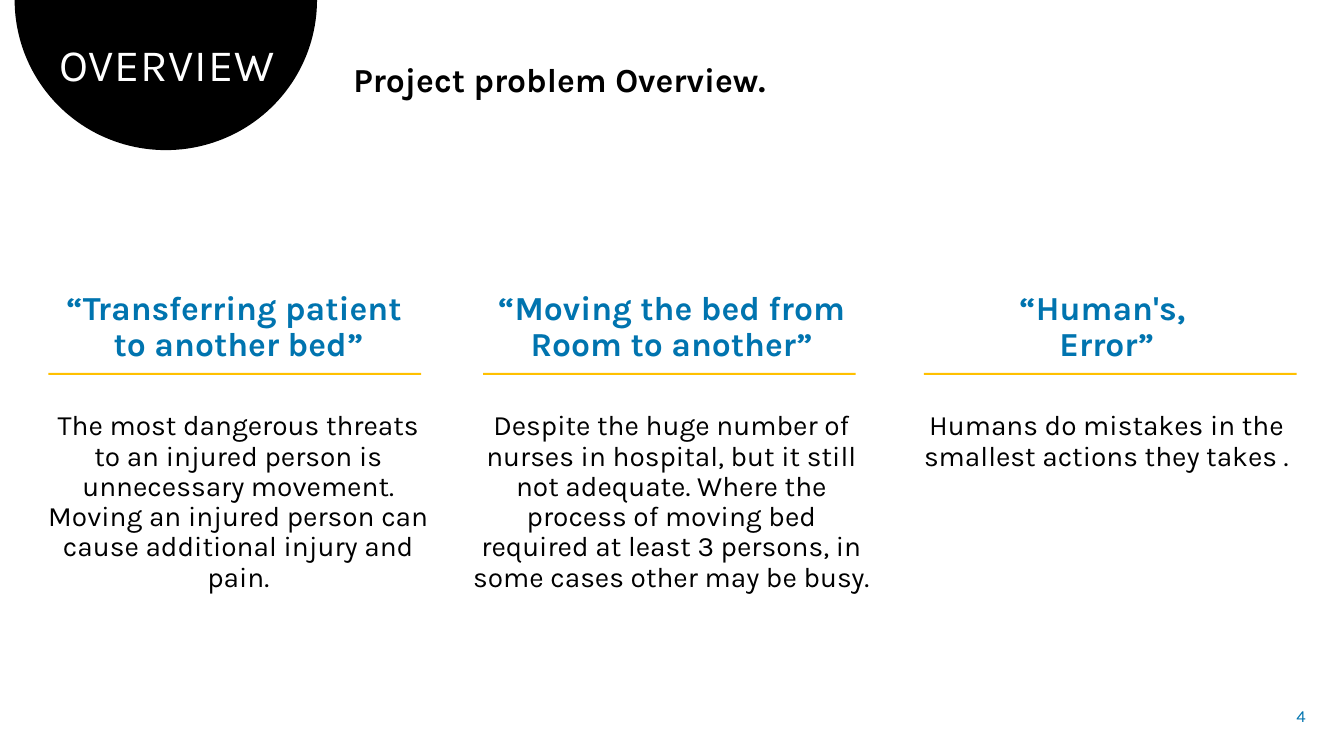
import math
from dataclasses import dataclass

from pptx import Presentation
from pptx import util as u
from pptx.dml.color import RGBColor
from pptx.enum import shapes, text

PX = 9525
FONT = "Karla"
BLACK, WHITE, BLUE, GOLD = "000000", "FFFFFF", "0074AF", "FFC000"
COLUMN_TOP, RULE_TOP, RULE_WIDTH, RULE_HEIGHT = 273, 355, 355, 2


@dataclass(frozen=True)
class Box:
    left: int
    top: int
    width: int
    height: int

    def emu(self) -> list[u.Emu]:
        return [u.Emu(n * PX) for n in (self.left, self.top, self.width, self.height)]


@dataclass(frozen=True)
class Line:
    words: str
    size: int
    color: str
    bold: bool = False
    align: text.PP_ALIGN = text.PP_ALIGN.CENTER
    before: int = 0
    after: int = 0
    spacing: float = 0.9


@dataclass(frozen=True)
class Problem:
    left: int
    width: int
    height: int
    rule_left: int
    heading: str
    body: str


PROBLEMS = [
    Problem(32, 390, 271, 46, "“Transferring patient \vto another bed”",
            "The most dangerous threats to an injured person is unnecessary movement. "
            "Moving an injured person can cause additional injury and pain."),
    Problem(438, 403, 300, 460, "“Moving the bed from Room to another”",
            "Despite the huge number of nurses in hospital, but it still not adequate. "
            "Where the process of moving bed required at least 3 persons, "
            "in some cases other may be busy."),
    Problem(856, 396, 183, 880, "“Human's, \vError”",
            "Humans do mistakes in the smallest actions they takes ."),
]


def rgb(color: str) -> RGBColor:
    return RGBColor.from_string(color)


def paint(shape, color: str) -> None:
    shape.shadow.inherit = False
    shape.fill.solid()
    shape.fill.fore_color.rgb = rgb(color)
    shape.line.fill.background()


def add_text(page, place: Box, lines: list[Line], grow: bool = True):
    box = page.shapes.add_textbox(*place.emu())
    frame = box.text_frame
    frame.word_wrap = grow
    if grow:
        frame.auto_size = text.MSO_AUTO_SIZE.SHAPE_TO_FIT_TEXT
    else:
        frame.vertical_anchor = text.MSO_ANCHOR.MIDDLE
    for index, line in enumerate(lines):
        para = frame.add_paragraph() if index else frame.paragraphs[0]
        para.text = line.words
        para.alignment = line.align
        para.line_spacing = line.spacing
        para.space_before = u.Pt(line.before)
        para.space_after = u.Pt(line.after)
        para.font.name = FONT
        para.font.size = u.Pt(line.size)
        para.font.bold = line.bold
        para.font.color.rgb = rgb(line.color)
    return box


def add_half_disc(page, center: int, radius: int, depth: int, steps: int = 90) -> None:
    """Draw a disc that hangs from the top edge of the page."""
    angles = [math.pi * step / steps for step in range(steps + 1)]
    points = [(round((center + radius * math.cos(a)) * PX), round(depth * math.sin(a) * PX))
              for a in angles]
    builder = page.shapes.build_freeform(*points[0])
    builder.add_line_segments(points[1:], close=True)
    paint(builder.convert_to_shape(), BLACK)


def add_problem(page, problem: Problem) -> None:
    add_text(page, Box(problem.left, COLUMN_TOP, problem.width, problem.height), [
        Line(problem.heading, 24, BLUE, bold=True, after=24),
        Line(problem.body, 20, BLACK, before=10, after=12),
    ])
    place = Box(problem.rule_left, RULE_TOP, RULE_WIDTH, RULE_HEIGHT)
    rule = page.shapes.add_shape(shapes.MSO_SHAPE.RECTANGLE, *place.emu())
    paint(rule, GOLD)


def main() -> None:
    deck = Presentation()
    deck.slide_width, deck.slide_height = u.Emu(1280 * PX), u.Emu(720 * PX)
    page = deck.slides.add_slide(deck.slide_layouts[6])

    add_half_disc(page, center=158, radius=144, depth=143)
    title = add_text(page, Box(34, 36, 250, 57), [Line("OVERVIEW", 32, WHITE)])
    for span in title.text_frame.paragraphs[0].runs:
        span.font._element.set("spc", "60")
    add_text(page, Box(327, 56, 953, 44), [
        Line("Project problem Overview.", 24, BLACK, bold=True, align=text.PP_ALIGN.LEFT),
    ])
    for problem in PROBLEMS:
        add_problem(page, problem)
    add_text(page, Box(1200, 663, 53, 38), [
        Line("4", 12, BLUE, align=text.PP_ALIGN.RIGHT, spacing=1.0),
    ], grow=False)

    deck.save("out.pptx")


if __name__ == "__main__":
    main()
